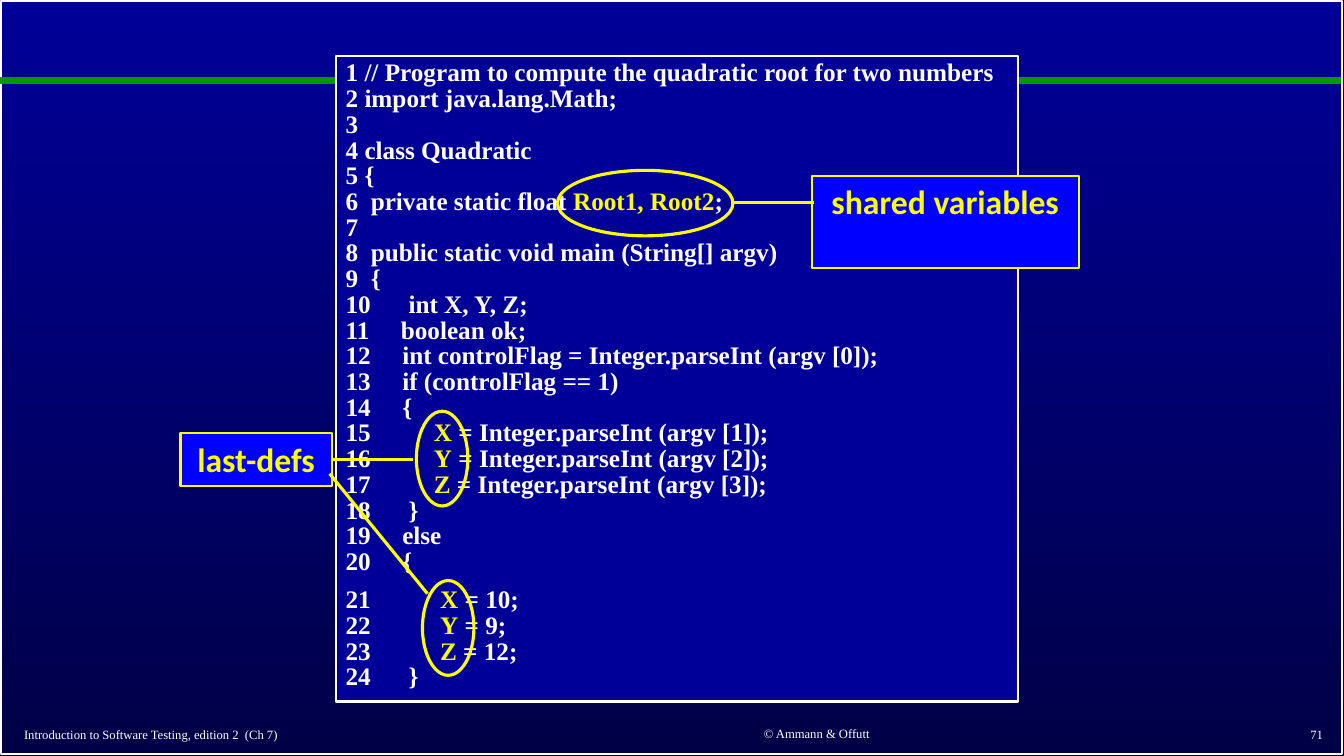
import dataclasses
import typing

import lxml.etree
import pptx
import pptx.dml.color
import pptx.enum.shapes
import pptx.enum.text
import pptx.oxml.ns
import pptx.util

Inches = pptx.util.Inches
Pt = pptx.util.Pt
Align = pptx.enum.text.PP_ALIGN
Anchor = pptx.enum.text.MSO_ANCHOR
Kind = pptx.enum.shapes.MSO_SHAPE
Box = tuple[float, float, float, float]


def rgb(code: str) -> pptx.dml.color.RGBColor:
    return pptx.dml.color.RGBColor.from_string(code)


@dataclasses.dataclass(frozen=True)
class Theme:
    navy: str = "000099"
    dark: str = "000047"
    blue: str = "0000FF"
    white: str = "FFFFFF"
    yellow: str = "FFFF00"
    green: str = "009900"
    serif: str = "Times New Roman"
    sans: str = "Calibri"
    code: float = 18
    label: float = 24
    foot: float = 9
    thin: float = 1
    edge: float = 1.5
    mark: float = 2.25
    rule: float = 4.5


THEME = Theme()


@dataclasses.dataclass(frozen=True)
class Label:
    text: str
    box: Box


@dataclasses.dataclass(frozen=True)
class Foot:
    text: str
    box: Box
    align: Align


@dataclasses.dataclass(frozen=True)
class Link:
    start: tuple[float, float]
    end: tuple[float, float]
    label: typing.Optional[int] = None  # label whose right side it joins


# Text between bars is highlighted.
CODE = [
    """1 // Program to compute the quadratic root for two numbers
2 import java.lang.Math;
3 
4 class Quadratic
5 {
6  private static float |Root1, Root2|;
7
8  public static void main (String[] argv)
9  {
10      int X, Y, Z;
11     boolean ok;
12     int controlFlag = Integer.parseInt (argv [0]);
13     if (controlFlag == 1)
14     {
15          |X| = Integer.parseInt (argv [1]);
16          |Y| = Integer.parseInt (argv [2]);
17          |Z| = Integer.parseInt (argv [3]);
18      }
19     else
20     {""",
    """21           |X| = 10;
22           |Y| = 9;
23           |Z| = 12;
24      }""",
]
LABELS = [
    Label("last-defs", (1.79, 4.3, 1.5, 0.52)),
    Label("shared variables", (8.05, 1.75, 2.65, 0.91)),
]
RINGS: list[Box] = [
    (4.13, 4.08, 0.51, 0.94),
    (4.19, 5.76, 0.51, 0.94),
    (5.53, 1.69, 1.74, 0.65),
]
LINKS = [
    Link((3.29, 4.56), (4.1, 4.56), label=0),
    Link((3.27, 4.7), (4.24, 5.89)),
    Link((8.07, 2.01), (7.25, 2.01)),
]
FEET = [
    Foot("Introduction to Software Testing, edition 2  (Ch 7)",
         (0.14, 7.16, 5.48, 0.26), Align.LEFT),
    Foot("© Ammann & Offutt", (5.99, 7.15, 4.22, 0.26), Align.CENTER),
    Foot("71", (10.44, 7.15, 2.78, 0.27), Align.RIGHT),
]


def style(para, face: str, size: float, color: str, bold: bool = False) -> None:
    para.font.name = face
    para.font.size = Pt(size)
    para.font.bold = bold
    para.font.color.rgb = rgb(color)


def add_shape(slide, kind: Kind, box: Box, line: str, width: float,
              fill: typing.Optional[str] = None):
    shape = slide.shapes.add_shape(kind, *map(Inches, box))
    shape.shadow.inherit = False
    if fill:
        shape.fill.solid()
        shape.fill.fore_color.rgb = rgb(fill)
    else:
        shape.fill.background()
    shape.line.color.rgb = rgb(line)
    shape.line.width = Pt(width)
    shape.text_frame.word_wrap = True
    shape.text_frame.vertical_anchor = Anchor.TOP
    return shape


def add_line(slide, link: Link, color: str, width: float):
    line = slide.shapes.add_connector(
        pptx.enum.shapes.MSO_CONNECTOR.STRAIGHT,
        *map(Inches, link.start + link.end))
    line.line.color.rgb = rgb(color)
    line.line.width = Pt(width)
    lxml.etree.SubElement(line._element.spPr, pptx.oxml.ns.qn("a:effectLst"))
    return line


def add_code(slide) -> None:
    shape = add_shape(slide, Kind.RECTANGLE, (3.33, 0.56, 6.77, 6.4),
                      THEME.white, THEME.edge, THEME.navy)
    frame = shape.text_frame
    for i, block in enumerate(CODE):
        para = frame.add_paragraph() if i else frame.paragraphs[0]
        para.alignment = Align.LEFT
        para.line_spacing = 0.85
        if i:
            para.space_before = Pt(THEME.code / 2)
        style(para, THEME.serif, THEME.code, THEME.white, bold=True)
        for j, row in enumerate(block.split("\n")):
            if j:
                para.add_line_break()
            for k, part in enumerate(row.split("|")):
                run = para.add_run()
                run.text = part
                run.font.color.rgb = rgb(THEME.yellow if k % 2 else THEME.white)


def add_label(slide, label: Label):
    shape = add_shape(slide, Kind.RECTANGLE, label.box,
                      THEME.yellow, THEME.edge, THEME.blue)
    para = shape.text_frame.paragraphs[0]
    para.text = label.text
    para.alignment = Align.CENTER
    style(para, THEME.sans, THEME.label, THEME.yellow, bold=True)
    return shape


def add_foot(slide, foot: Foot) -> None:
    frame = slide.shapes.add_textbox(*map(Inches, foot.box)).text_frame
    frame.word_wrap = True
    frame.vertical_anchor = Anchor.MIDDLE
    para = frame.paragraphs[0]
    para.text = foot.text
    para.alignment = foot.align
    style(para, THEME.serif, THEME.foot, THEME.white)


def main() -> None:
    deck = pptx.Presentation()
    deck.slide_width, deck.slide_height = Inches(13.33), Inches(7.5)
    slide = deck.slides.add_slide(deck.slide_layouts[6])

    fill = slide.background.fill
    fill.gradient()
    fill.gradient_angle = 270
    for stop, color in zip(fill.gradient_stops, (THEME.navy, THEME.dark)):
        stop.color.rgb = rgb(color)

    add_shape(slide, Kind.RECTANGLE, (0.01, 0.01, 13.3, 7.47),
              THEME.white, THEME.thin)
    add_line(slide, Link((0, 0.8), (13.3, 0.8)), THEME.green, THEME.rule)
    add_code(slide)
    labels = [add_label(slide, label) for label in LABELS]
    for ring in RINGS:
        add_shape(slide, Kind.OVAL, ring, THEME.yellow, THEME.mark)
    for link in LINKS:
        line = add_line(slide, link, THEME.yellow, THEME.mark)
        if link.label is not None:
            line.begin_connect(labels[link.label], 3)
    for foot in FEET:
        add_foot(slide, foot)
    deck.save("out.pptx")


if __name__ == "__main__":
    main()
